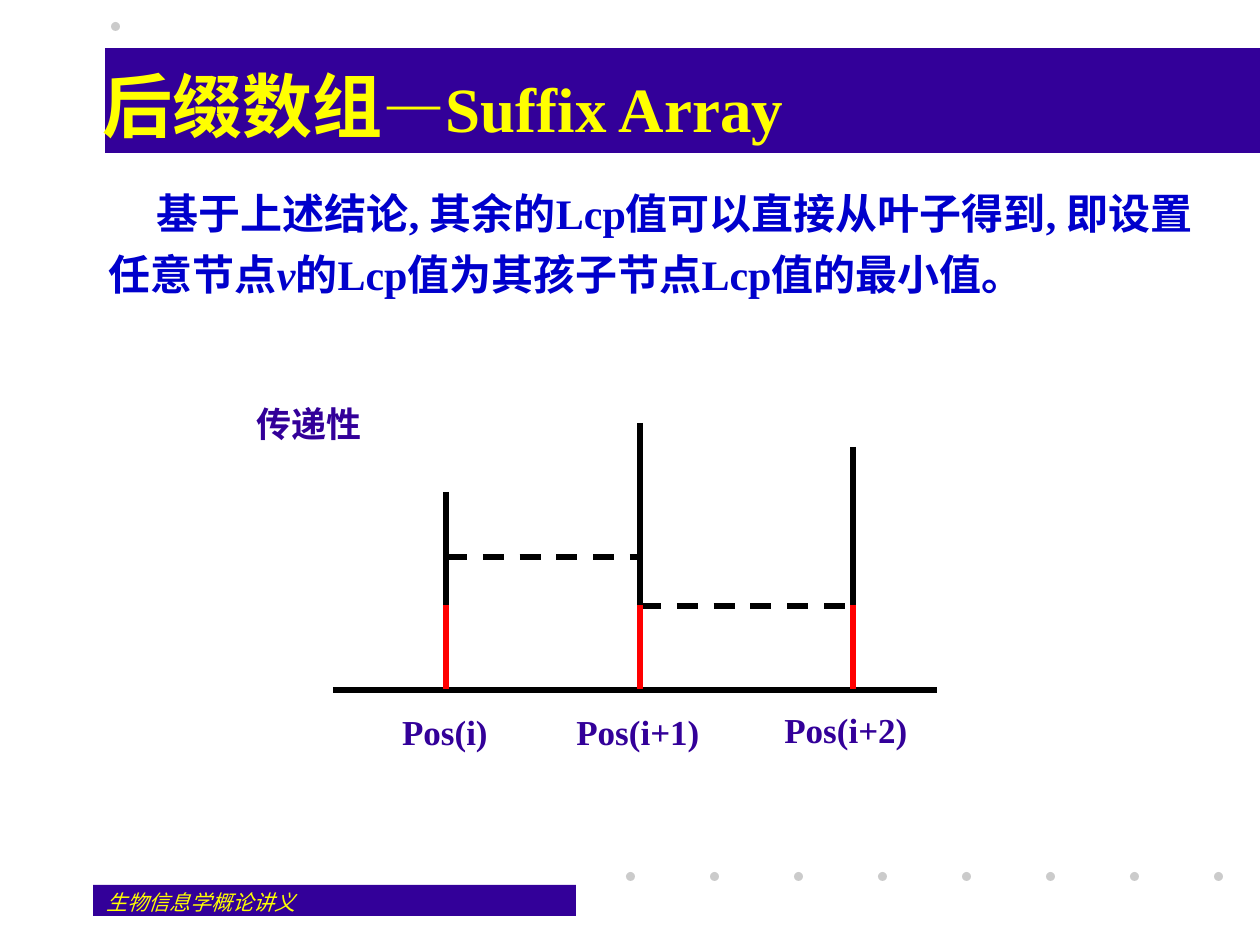
from pptx import Presentation
from pptx.dml.color import RGBColor
from pptx.enum.dml import MSO_LINE
from pptx.enum.shapes import MSO_CONNECTOR, MSO_SHAPE
from pptx.enum.text import MSO_ANCHOR, MSO_AUTO_SIZE, PP_ALIGN
from pptx.oxml.ns import qn
from pptx.util import Emu, Pt
from lxml import etree

RECTANGLE, OVAL = MSO_SHAPE.RECTANGLE, MSO_SHAPE.OVAL
STRAIGHT, DASH = MSO_CONNECTOR.STRAIGHT, MSO_LINE.DASH
CENTER, LEFT = PP_ALIGN.CENTER, PP_ALIGN.LEFT
TOP, MIDDLE = MSO_ANCHOR.TOP, MSO_ANCHOR.MIDDLE
GROW, FIXED = MSO_AUTO_SIZE.SHAPE_TO_FIT_TEXT, MSO_AUTO_SIZE.NONE

THEME = {
    "band": "330099", "dot": "CBCBCB", "title": "FFFF00", "body": "0000CC",
    "label": "330099", "axis": "000000", "shared": "FF0000",
    "font": "Times New Roman", "dash_font": "Noto Sans CJK SC",
    "title_size": 40, "subtitle_size": 36, "body_size": 24,
    "label_size": 20, "footer_size": 12, "line_width": 3,
}
PX = 914400 / 126


def add_text(box, paragraphs, color, inset=(13, 6), anchor=TOP, align=LEFT, wrap=True):
    """Each paragraph is (left margin, space before, runs of (text, size, style))."""
    text_box = slide.shapes.add_textbox(*[Emu(round(n * PX)) for n in box])
    frame = text_box.text_frame
    frame.word_wrap = wrap
    frame.auto_size = FIXED if wrap else GROW
    frame.vertical_anchor = anchor
    frame.margin_left = frame.margin_right = Emu(round(inset[0] * PX))
    frame.margin_top = frame.margin_bottom = Emu(round(inset[1] * PX))
    for index, (margin, before, runs) in enumerate(paragraphs):
        paragraph = frame.add_paragraph() if index else frame.paragraphs[0]
        paragraph.alignment = align
        if before:
            paragraph.space_before = Pt(before)
        if margin:
            paragraph._p.get_or_add_pPr().set("marL", str(round(margin * PX)))
        for text, size, style in runs:
            run = paragraph.add_run()
            run.text = text
            run.font.size = Pt(size)
            run.font.name = style.get("font", THEME["font"])
            run.font.bold = style.get("bold", True)
            run.font.italic = style.get("italic", False)
            run.font.color.rgb = RGBColor.from_string(color)


def add_line(x1, y1, x2, y2, color, dash=None):
    line = slide.shapes.add_connector(STRAIGHT, *[Emu(round(n * PX)) for n in (x1, y1, x2, y2)])
    line.line.color.rgb = RGBColor.from_string(color)
    line.line.width = Pt(THEME["line_width"])
    if dash:
        line.line.dash_style = dash
    etree.SubElement(line._element.spPr, qn("a:effectLst"))


presentation = Presentation()
presentation.slide_width = Emu(round(1260 * PX))
presentation.slide_height = Emu(round(945 * PX))
slide = presentation.slides.add_slide(presentation.slide_layouts[6])

# Bands and decorative dots
decorations = [(RECTANGLE, 93, 885, 483, 31, "band"), (RECTANGLE, 105, 48, 1155, 105, "band"),
               (OVAL, 111, 22, 9, 9, "dot")]
decorations += [(OVAL, 626 + 84 * i, 872, 9, 9, "dot") for i in range(8)]
for kind, left, top, width, height, color in decorations:
    shape = slide.shapes.add_shape(kind, *[Emu(round(n * PX)) for n in (left, top, width, height)])
    shape.shadow.inherit = False
    shape.fill.solid()
    shape.fill.fore_color.rgb = RGBColor.from_string(THEME[color])
    shape.line.fill.background()

# Footer, title and body
add_text((94, 884, 262, 31),
         [(0, 0, [("生物信息学概论讲义", THEME["footer_size"], {"bold": False, "italic": True})])],
         THEME["title"])
add_text((90, 42, 1121, 126),
         [(0, 0, [("后缀数组", THEME["title_size"], {}),
                  ("—", THEME["subtitle_size"], {"font": THEME["dash_font"]}),
                  ("Suffix Array", THEME["subtitle_size"], {})])],
         THEME["title"], anchor=MIDDLE)
body_size = THEME["body_size"]
add_text((96, 182, 1121, 678),
         [(48, 0, [("基于上述结论, 其余的Lcp值可以直接从叶子得到, 即设置", body_size, {})]),
          (0, 6, [("任意节点", body_size, {}), ("v", body_size, {"italic": True}),
                  ("的Lcp值为其孩子节点Lcp值的最小值。", body_size, {})])],
         THEME["body"])

# Suffix bars on the baseline
BASELINE = 690
bars = [(446, 492), (640, 423), (853, 447)]
for x, top in bars:
    add_line(x, top, x, BASELINE, THEME["axis"])
add_line(333, BASELINE, 937, BASELINE, THEME["axis"])

# Common prefix heights between neighbouring bars
for (left, _), (right, _), y in zip(bars, bars[1:], (557, 606)):
    add_line(left, y, right, y, THEME["axis"], DASH)

# Prefix shared by all three bars
for x, _ in bars:
    add_line(x, 605, x, 689, THEME["shared"])

# Diagram labels, each a little wider than its text
for text, left, top, width in [("Pos(i)", 400, 710, 90), ("Pos(i+1)", 574, 710, 128),
                               ("Pos(i+2)", 782, 708, 128), ("传递性", 254, 402, 110)]:
    add_text((left, top, width, 42), [(0, 0, [(text, THEME["label_size"], {})])],
             THEME["label"], inset=(0, 0), align=CENTER, wrap=False)

presentation.save("out.pptx")
